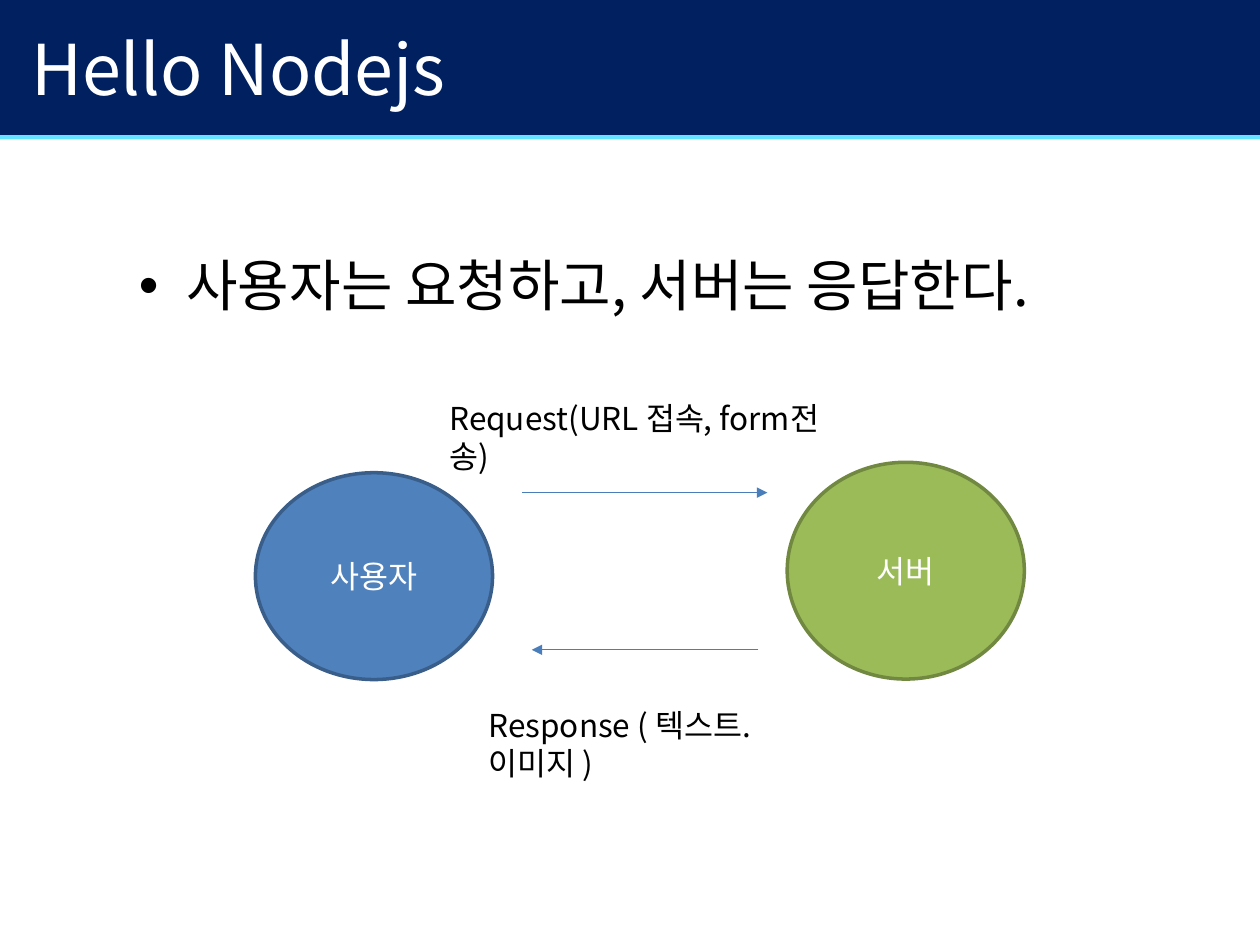
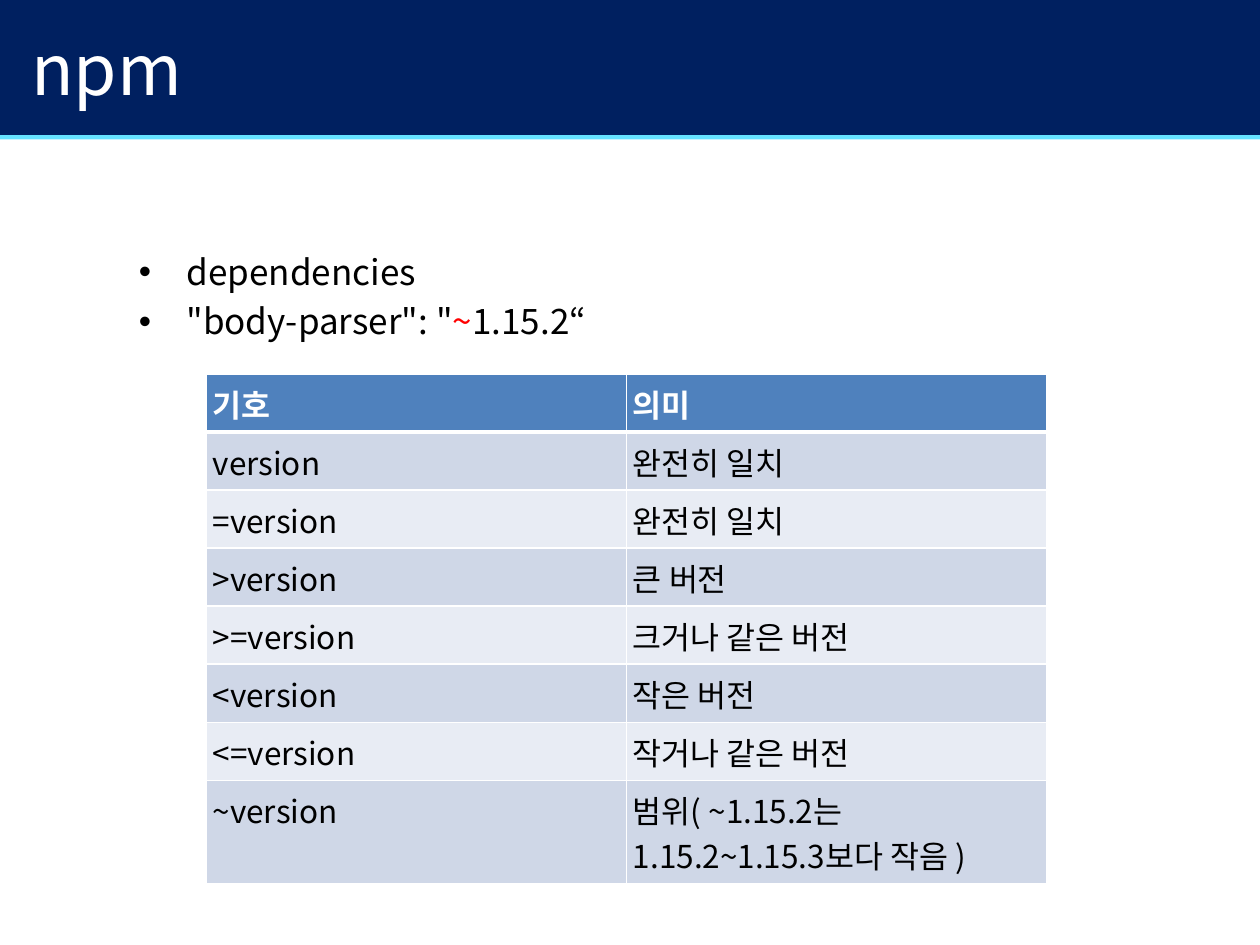
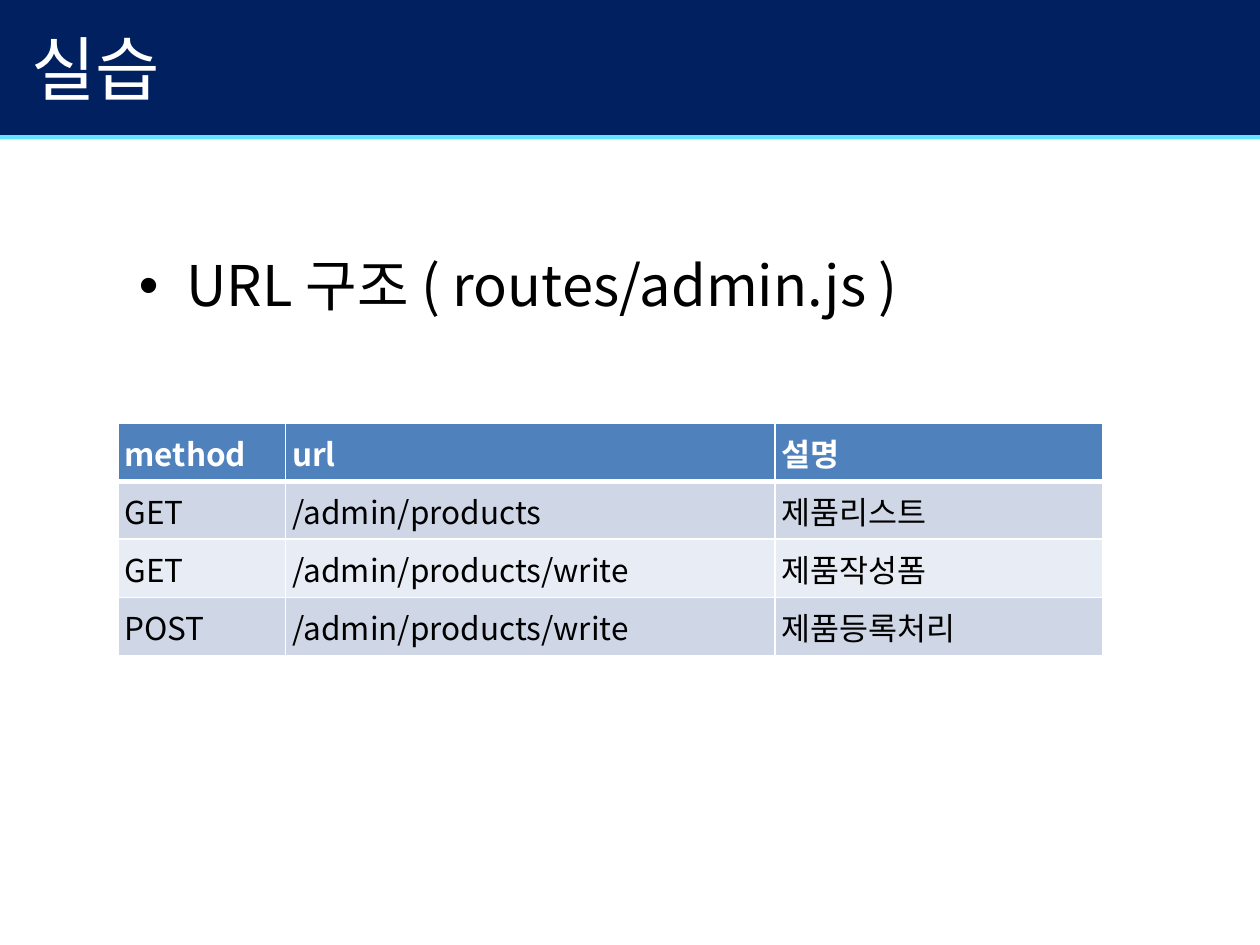
import pptx
import pptx.dml.color
import pptx.enum.shapes
import pptx.enum.text
import pptx.oxml
import pptx.oxml.ns
import pptx.util
from lxml import etree

Cm = pptx.util.Cm
Pt = pptx.util.Pt
qn = pptx.oxml.ns.qn
Shapes = pptx.enum.shapes.MSO_SHAPE
Align = pptx.enum.text.PP_ALIGN
Anchor = pptx.enum.text.MSO_ANCHOR

FONT = "Noto Sans CJK KR"
NAVY, CYAN, RED = "002060", "65E2FF", "FF0000"
BLACK, WHITE = "000000", "FFFFFF"
BLUE, BLUE_EDGE, ARROW_BLUE = "4F81BD", "3A5E8A", "4A7EBB"
GREEN, GREEN_EDGE = "9BBB59", "718841"
ROW_FILLS = ("CFD7E7", "E8ECF4")
INSET = 0.13
INDENT = 0.96
ROW_HEIGHT, TWO_LINE_ROW_HEIGHT = 1.17, 2.09


def color(hex_string):
    """Turn a hex string into a colour."""
    return pptx.dml.color.RGBColor.from_string(hex_string)


def write(paragraph, text, size=18, fill=BLACK, bold=False, align=None):
    """Add a formatted run of text to a paragraph."""
    run = paragraph.add_run()
    run.text = text
    font = run.font
    font.name, font.size, font.bold = FONT, Pt(size), bold
    font.color.rgb = color(fill)
    east_asian = etree.SubElement(run._r.get_or_add_rPr(), qn("a:ea"))
    east_asian.set("typeface", FONT)
    if align is not None:
        paragraph.alignment = align


def add_bullet(paragraph):
    """Give a paragraph a round bullet and a hanging indent."""
    properties = paragraph._p.get_or_add_pPr()
    properties.set("marL", str(Cm(INDENT)))
    properties.set("indent", str(-Cm(INDENT)))
    etree.SubElement(properties, qn("a:buFont")).set("typeface", "Arial")
    etree.SubElement(properties, qn("a:buChar")).set("char", "•")


def set_border(cell, side, width):
    """Draw a white border on one side of a cell."""
    border = etree.SubElement(cell._tc.get_or_add_tcPr(), qn("a:ln" + side))
    border.set("w", str(Pt(width)))
    fill = etree.SubElement(border, qn("a:solidFill"))
    etree.SubElement(fill, qn("a:srgbClr")).set("val", WHITE)


def set_margins(target):
    """Set the same inner margin on all sides of a text frame or cell."""
    target.margin_left = target.margin_right = Cm(INSET)
    target.margin_top = target.margin_bottom = Cm(INSET)


class Deck:
    """Holds the presentation, its style and the current slide."""

    def __init__(self):
        """Start an empty presentation of 4:3 slides."""
        self.presentation = pptx.Presentation()
        self.presentation.slide_width = Cm(25.4)
        self.presentation.slide_height = Cm(19.05)
        self.slide = None

    def new_slide(self, title):
        """Add a slide with the title band."""
        layout = self.presentation.slide_layouts[6]
        self.slide = self.presentation.slides.add_slide(layout)
        self.shape(Shapes.RECTANGLE, -0.02, 2.69, 25.42, 0.12, CYAN)
        self.shape(Shapes.RECTANGLE, -0.02, 0, 25.42, 2.72, NAVY)
        frame = self.text_frame(0.5, -0.23, 22.86, 3.17, Anchor.MIDDLE)
        write(frame.paragraphs[0], title, size=40, fill=WHITE)

    def shape(self, kind, left, top, width, height, fill, edge=None):
        """Add a filled preset shape, outlined if an edge colour is given."""
        shape = self.slide.shapes.add_shape(kind, Cm(left), Cm(top), Cm(width), Cm(height))
        shape.shadow.inherit = False
        shape.fill.solid()
        shape.fill.fore_color.rgb = color(fill)
        if edge:
            shape.line.color.rgb = color(edge)
            shape.line.width = Pt(2)
        else:
            shape.line.fill.background()
        return shape

    def node(self, text, left, top, width, height, fill, edge):
        """Add an ellipse with a centred caption."""
        shape = self.shape(Shapes.OVAL, left, top, width, height, fill, edge)
        frame = shape.text_frame
        set_margins(frame)
        frame.vertical_anchor = Anchor.MIDDLE
        write(frame.paragraphs[0], text, fill=WHITE, align=Align.CENTER)

    def text_frame(self, left, top, width, height, anchor=Anchor.TOP):
        """Add an empty wrapping text box and return its frame."""
        box = self.slide.shapes.add_textbox(Cm(left), Cm(top), Cm(width), Cm(height))
        frame = box.text_frame
        frame.word_wrap = True
        frame.vertical_anchor = anchor
        set_margins(frame)
        return frame

    def label(self, text, left, top, width):
        """Add a diagram label."""
        frame = self.text_frame(left, top, width, 1.07)
        write(frame.paragraphs[0], text)

    def bullets(self, items, size, space_before):
        """Add a bullet list; each item is a list of (text, colour) runs."""
        frame = self.text_frame(2.67, 4.93, 20.07, 11.2)
        for index, runs in enumerate(items):
            paragraph = frame.add_paragraph() if index else frame.paragraphs[0]
            paragraph.space_before = Pt(space_before)
            for text, fill in runs:
                write(paragraph, text, size=size, fill=fill)
            add_bullet(paragraph)

    def arrow(self, start, end, height):
        """Add a horizontal arrow from start to end."""
        connector = self.slide.shapes.add_connector(
            pptx.enum.shapes.MSO_CONNECTOR.STRAIGHT, Cm(start), Cm(height), Cm(end), Cm(height))
        connector.line.color.rgb = color(ARROW_BLUE)
        connector.line.width = Pt(0.75)
        etree.SubElement(connector.line._get_or_add_ln(), qn("a:tailEnd")).set("type", "triangle")
        etree.SubElement(connector._element.spPr, qn("a:effectLst"))

    def table(self, left, top, widths, rows, last_height=ROW_HEIGHT):
        """Add a table with a blue header row and banded rows."""
        heights = [ROW_HEIGHT] * (len(rows) - 1) + [last_height]
        table = self.slide.shapes.add_table(
            len(rows), len(widths), Cm(left), Cm(top),
            Cm(sum(widths)), Cm(sum(heights))).table
        for column, width in zip(table.columns, widths):
            column.width = Cm(width)
        for row_index, texts in enumerate(rows):
            table.rows[row_index].height = Cm(heights[row_index])
            for column_index, text in enumerate(texts):
                self.cell(table.cell(row_index, column_index), text, row_index)

    def cell(self, cell, text, row_index):
        """Fill in and style one table cell."""
        header = row_index == 0
        set_margins(cell)
        top_width = 3 if row_index == 1 else 1
        bottom_width = 3 if header else 1
        for side, width in (("L", 1), ("R", 1), ("T", top_width), ("B", bottom_width)):
            set_border(cell, side, width)
        cell.fill.solid()
        cell.fill.fore_color.rgb = color(BLUE if header else ROW_FILLS[(row_index - 1) % 2])
        write(cell.text_frame.paragraphs[0], text, fill=WHITE if header else BLACK, bold=header)


def build_request_slide(deck):
    """Show how user and server exchange messages."""
    deck.new_slide("Hello Nodejs")
    deck.bullets([[("사용자는 요청하고, 서버는 응답한다.", BLACK)]], 32, 7)
    deck.node("사용자", 5.15, 9.53, 4.78, 4.17, BLUE, BLUE_EDGE)
    deck.node("서버", 15.87, 9.32, 4.78, 4.37, GREEN, GREEN_EDGE)
    deck.arrow(10.52, 15.47, 9.93)
    deck.arrow(15.29, 10.72, 13.1)
    deck.label("Request(URL 접속, form전송)", 8.93, 7.92, 8.33)
    deck.label("Response ( 텍스트. 이미지 )", 9.72, 14.1, 7.75)


def build_version_slide(deck):
    """List the version symbols."""
    deck.new_slide("npm")
    deck.bullets([
        [("dependencies", BLACK)],
        [('"body-parser": "', BLACK), ("~", RED), ("1.15.2“", BLACK)],
    ], 20, 4)
    deck.table(4.16, 7.54, [8.47, 8.47], [
        ("기호", "의미"),
        ("version", "완전히 일치"),
        ("=version", "완전히 일치"),
        (">version", "큰 버전"),
        (">=version", "크거나 같은 버전"),
        ("<version", "작은 버전"),
        ("<=version", "작거나 같은 버전"),
        ("~version", "범위( ~1.15.2는 1.15.2~1.15.3보다 작음 )"),
    ], last_height=TWO_LINE_ROW_HEIGHT)


def build_routes_slide(deck):
    """List the routes of the exercise."""
    deck.new_slide("실습")
    deck.bullets([[("URL 구조 ( routes/admin.js )", BLACK)]], 32, 7)
    deck.table(2.38, 8.53, [3.38, 9.86, 6.6], [
        ("method", "url", "설명"),
        ("GET", "/admin/products", "제품리스트"),
        ("GET", "/admin/products/write", "제품작성폼"),
        ("POST", "/admin/products/write", "제품등록처리"),
    ])


deck = Deck()
build_request_slide(deck)
build_version_slide(deck)
build_routes_slide(deck)
deck.presentation.save("out.pptx")
